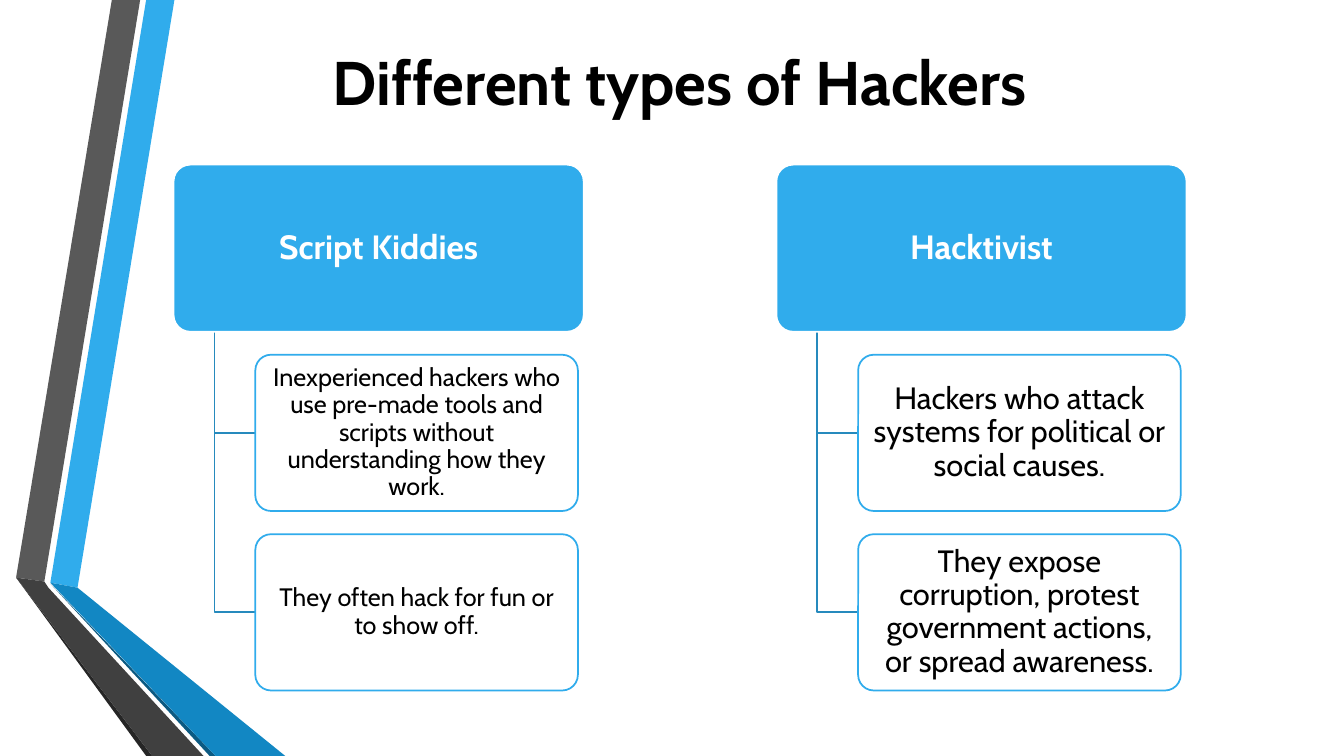
from pptx import Presentation
from pptx import util as u
from pptx.dml.color import RGBColor
from pptx.enum import shapes, text
from pptx.oxml.ns import qn
from lxml import etree

Pt = u.Pt
COLORS = {
    "sky": "30ACEC", "blue": "1287C3", "navy": "0C5A82", "branch": "268ABD",
    "gray": "595959", "charcoal": "404040", "coal": "262626",
    "white": "FFFFFF", "black": "000000",
}

deck = Presentation()
deck.slide_width, deck.slide_height = Pt(960), Pt(540)
page = deck.slides.add_slide(deck.slide_layouts[5])


def add_outline(points, fill=None, line=None):
    corners = [(Pt(x), Pt(y)) for x, y in points]
    builder = page.shapes.build_freeform(*corners[0])
    builder.add_line_segments(corners[1:], close=fill is not None)
    outline = builder.convert_to_shape()
    outline.shadow.inherit = False
    if fill:
        outline.fill.solid()
        outline.fill.fore_color.rgb = RGBColor.from_string(COLORS[fill])
        outline.line.fill.background()
    else:
        outline.fill.background()
        outline.line.color.rgb = RGBColor.from_string(COLORS[line])
        outline.line.width = Pt(1.25)


def write_text(shape, wording, size, color, bold):
    frame = shape.text_frame
    frame.word_wrap = True
    frame.vertical_anchor = text.MSO_ANCHOR.MIDDLE
    para = frame.paragraphs[0]
    para.alignment = text.PP_ALIGN.CENTER
    span = para.add_run()
    span.text = wording
    span.font.color.rgb = RGBColor.from_string(COLORS[color])
    for name, value in {"name": "Cabin", "size": Pt(size), "bold": bold}.items():
        setattr(span.font, name, value)
    return frame, para


# Folded ribbons on the left edge
RIBBONS = [
    ("sky", [(36, 416.2), (55.4, 419.8), (124.6, 0), (104.4, 0)]),
    ("gray", [(100.1, 0), (79.9, 0), (11.5, 412.6), (31.7, 415.4)]),
    ("coal", [(11.5, 412.6), (104.4, 540), (108.7, 540)]),
    ("navy", [(36, 416.9), (149.8, 540), (154.1, 540)]),
    ("blue", [(36, 416.2), (154.1, 540), (203.8, 540), (55.4, 419.8)]),
    ("charcoal", [(145.4, 540), (34.6, 419.8), (31.7, 415.4), (11.5, 412.6), (108.7, 540)]),
]
for color, points in RIBBONS:
    add_outline(points, fill=color)

# Title
title = page.shapes.title
for name, value in {"left": 155.5, "top": 27.4, "width": 660, "height": 60.5}.items():
    setattr(title, name, Pt(value))
write_text(title, "Different types of Hackers", 44, "black", True)

# Hacker types: a heading with two boxes hanging from a trunk
HEAD_TOP, HEAD_WIDTH, HEAD_HEIGHT = 117.6, 293, 119.4
BOX_TOP, BOX_WIDTH, BOX_HEIGHT, BOX_STEP = 253.4, 230.4, 111.6, 128.2
TRUNK_INDENT, BOX_INDENT = 29.2, 58.4

TYPES = [
    (124, "Script Kiddies", 18, [
        "Inexperienced hackers who use pre-made tools and scripts without understanding how they work.",
        "They often hack for fun or to show off.",
    ]),
    (554.6, "Hacktivist", 22, [
        "Hackers who attack systems for political or social causes.",
        "They expose corruption, protest government actions, or spread awareness.",
    ]),
]
for left, heading, size, facts in TYPES:
    trunk, box_left = left + TRUNK_INDENT, left + BOX_INDENT
    cards = [(left, HEAD_TOP, HEAD_WIDTH, HEAD_HEIGHT, "sky", "white", heading, 24, "white", True)]
    for row, fact in enumerate(facts):
        top = BOX_TOP + row * BOX_STEP
        middle = top + BOX_HEIGHT / 2
        add_outline([(trunk, HEAD_TOP + HEAD_HEIGHT), (trunk, middle), (box_left, middle)],
                    line="branch")
        cards.append((box_left, top, BOX_WIDTH, BOX_HEIGHT, "white", "sky", fact, size, "black", False))

    for x, y, width, height, fill, line, wording, points, ink, bold in cards:
        box = page.shapes.add_shape(shapes.MSO_SHAPE.ROUNDED_RECTANGLE,
                                    Pt(x), Pt(y), Pt(width), Pt(height))
        box.adjustments[0] = 0.1
        box.shadow.inherit = False
        box.fill.solid()
        box.fill.fore_color.rgb = RGBColor.from_string(COLORS[fill])
        box.line.color.rgb = RGBColor.from_string(COLORS[line])
        box.line.width = Pt(1.25)
        if fill == "white":
            tint = box.fill._xPr.find(qn("a:solidFill"))[0]
            etree.SubElement(tint, qn("a:alpha")).set("val", "90000")
        frame, para = write_text(box, wording, points, ink, bold)
        para.line_spacing = 0.9
        for side, inset in {"left": 6.4, "right": 6.4, "top": 5, "bottom": 5}.items():
            setattr(frame, f"margin_{side}", Pt(inset))

deck.save("out.pptx")
